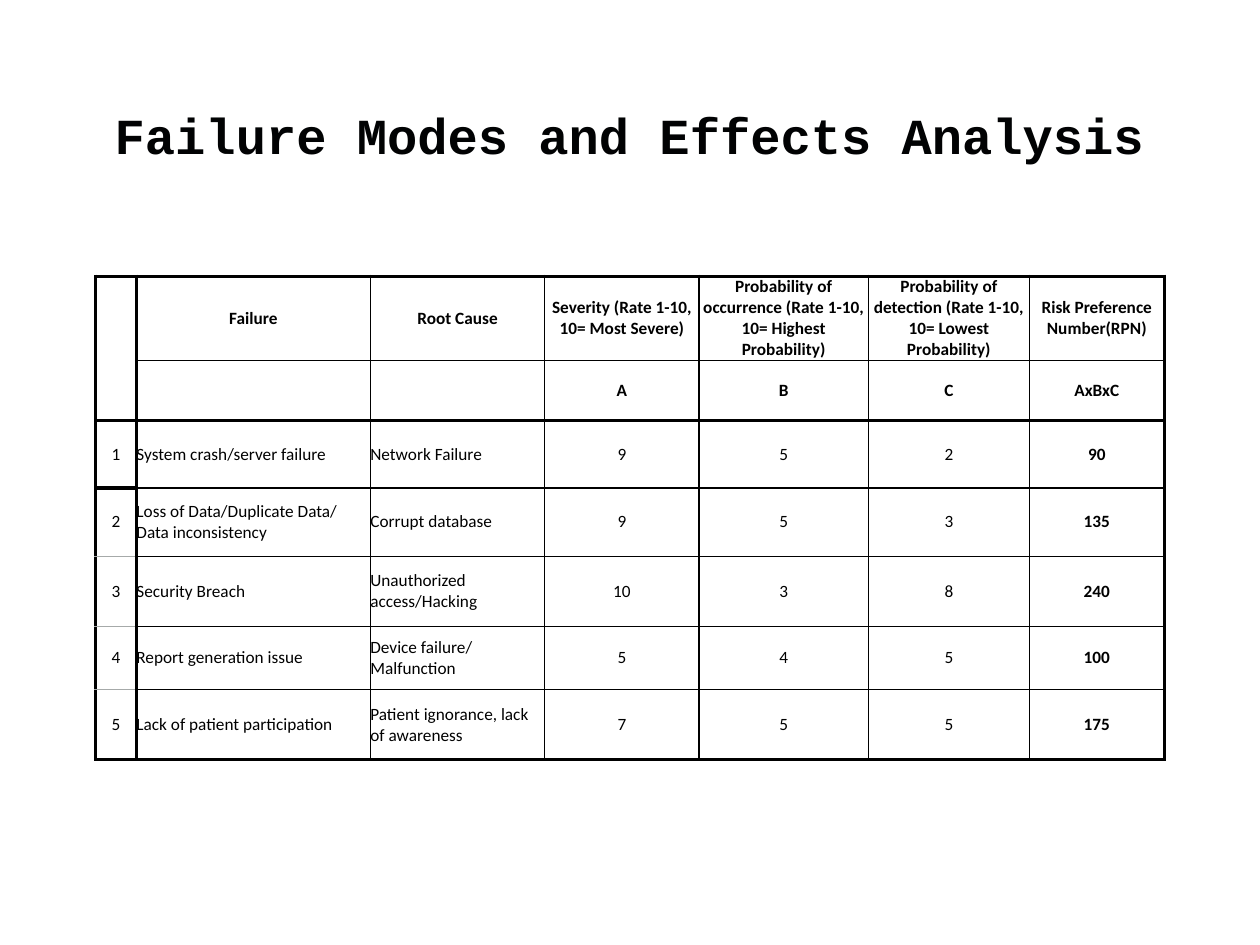
from lxml.etree import SubElement
from pptx import Presentation
from pptx.dml.color import RGBColor
from pptx.enum.text import MSO_ANCHOR, PP_ALIGN
from pptx.oxml.ns import qn
from pptx.util import Inches, Pt

BLACK, GRAY, WHITE = "000000", "A6AAA9", "FFFFFF"
COLUMN_WIDTHS = [0.46, 2.64, 1.97, 1.74, 1.91, 1.82, 1.52]
ROW_HEIGHTS = [0.95, 0.68, 0.76, 0.77, 0.79, 0.72, 0.79]
HEADER_ROWS = 2
ROWS = [
    ["", "Failure", "Root Cause", "Severity (Rate 1-10, 10= Most Severe)",
     "Probability of occurrence (Rate 1-10, 10= Highest Probability)",
     "Probability of detection (Rate 1-10, 10= Lowest Probability)",
     "Risk Preference Number(RPN)"],
    ["", "", "", "A", "B", "C", "AxBxC"],
    ["1", "System crash/server failure", "Network Failure", "9", "5", "2", "90"],
    ["2", "Loss of Data/Duplicate Data/ Data inconsistency", "Corrupt database",
     "9", "5", "3", "135"],
    ["3", "Security Breach", "Unauthorized access/Hacking", "10", "3", "8", "240"],
    ["4", "Report generation issue", "Device failure/ Malfunction", "5", "4", "5", "100"],
    ["5", "Lack of patient participation", "Patient ignorance, lack of awareness",
     "7", "5", "5", "175"],
]


def color(value):
    return RGBColor.from_string(value)


def set_attributes(target, values):
    for name, value in values.items():
        setattr(target, name, value)


def format_paragraph(paragraph, alignment, font_color, **font):
    paragraph.alignment = alignment
    set_attributes(paragraph.font, font)
    paragraph.font.color.rgb = color(font_color)


def add_title(slide, left, top, width, height):
    shape = slide.shapes.add_textbox(Inches(left), Inches(top), Inches(width), Inches(height))
    inset = Inches(0.06)
    # The larger top inset sets the title below the middle of its box
    set_attributes(shape.text_frame, {
        "word_wrap": True, "vertical_anchor": MSO_ANCHOR.MIDDLE,
        "margin_left": inset, "margin_right": inset,
        "margin_top": Inches(0.54), "margin_bottom": inset})
    paragraph = shape.text_frame.paragraphs[0]
    paragraph.text = "Failure Modes and Effects Analysis"
    paragraph.line_spacing = 0.9
    format_paragraph(paragraph, PP_ALIGN.CENTER, "010203",
                     name="Courier New", size=Pt(41), bold=True)


def horizontal_edge(edge, column):
    """Line above row number edge: heavy around the header and the table."""
    if edge in (0, HEADER_ROWS, len(ROWS)) or (column == 0 and edge <= HEADER_ROWS + 1):
        return BLACK, 3
    return (GRAY if column == 0 else BLACK), 1


def vertical_edge(edge):
    """Line left of column number edge: heavy around the numbers and the table."""
    return BLACK, 3 if edge in (0, 1, len(COLUMN_WIDTHS)) else 1


def set_borders(cell, row, column):
    properties = cell._tc.get_or_add_tcPr()
    edges = {"a:lnL": vertical_edge(column), "a:lnR": vertical_edge(column + 1),
             "a:lnT": horizontal_edge(row, column),
             "a:lnB": horizontal_edge(row + 1, column)}
    for tag, (line_color, points) in edges.items():
        line = SubElement(properties, qn(tag), w=str(Pt(points)))
        fill = SubElement(line, qn("a:solidFill"))
        SubElement(fill, qn("a:srgbClr"), val=line_color)


def format_cell(cell, row, column):
    cell.text = ROWS[row][column]
    set_attributes(cell, {
        "vertical_anchor": MSO_ANCHOR.MIDDLE, "margin_left": 0, "margin_right": 0,
        "margin_top": 0, "margin_bottom": 0})
    is_header = row < HEADER_ROWS
    is_description = not is_header and column in (1, 2)
    format_paragraph(cell.text_frame.paragraphs[0],
                     PP_ALIGN.LEFT if is_description else PP_ALIGN.CENTER, BLACK,
                     name="Calibri", size=Pt(14),
                     bold=is_header or column == len(COLUMN_WIDTHS) - 1)
    set_borders(cell, row, column)
    if column == 0:
        cell.fill.background()
    else:
        cell.fill.solid()
        cell.fill.fore_color.rgb = color(WHITE)


def add_analysis_table(slide, left, top):
    table = slide.shapes.add_table(
        len(ROWS), len(COLUMN_WIDTHS), Inches(left), Inches(top),
        Inches(sum(COLUMN_WIDTHS)), Inches(sum(ROW_HEIGHTS))).table
    set_attributes(table, {"first_row": False, "horz_banding": False})
    for column, width in zip(table.columns, COLUMN_WIDTHS):
        column.width = Inches(width)
    for row, height in zip(table.rows, ROW_HEIGHTS):
        row.height = Inches(height)
    for row in range(len(ROWS)):
        for column in range(len(COLUMN_WIDTHS)):
            format_cell(table.cell(row, column), row, column)
    # Empty corner spans both header rows
    table.cell(0, 0).merge(table.cell(HEADER_ROWS - 1, 0))


def main():
    presentation = Presentation()
    presentation.slide_width = Inches(14.22)
    presentation.slide_height = Inches(10.67)
    slide = presentation.slides.add_slide(presentation.slide_layouts[6])
    add_title(slide, 0.86, 0.51, 12.5, 1.63)
    add_analysis_table(slide, 1.08, 3.12)
    presentation.save("out.pptx")


if __name__ == "__main__":
    main()
